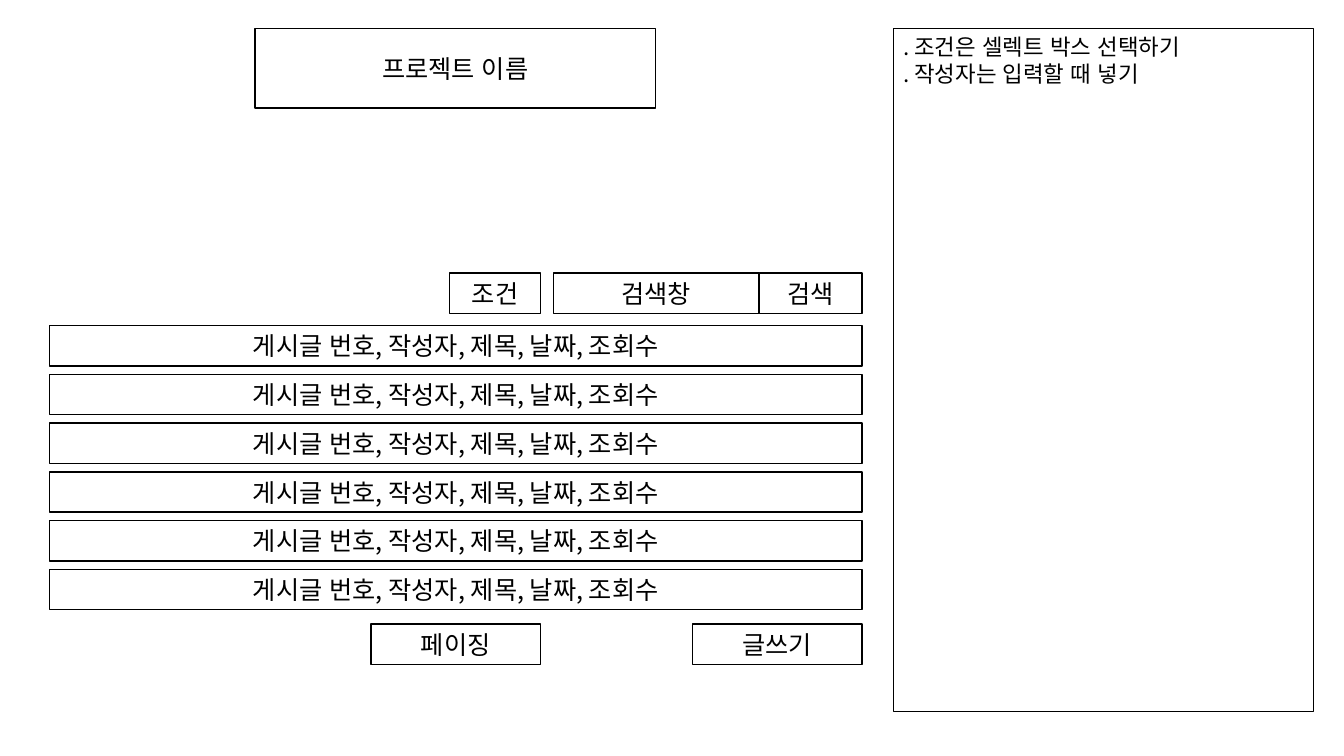
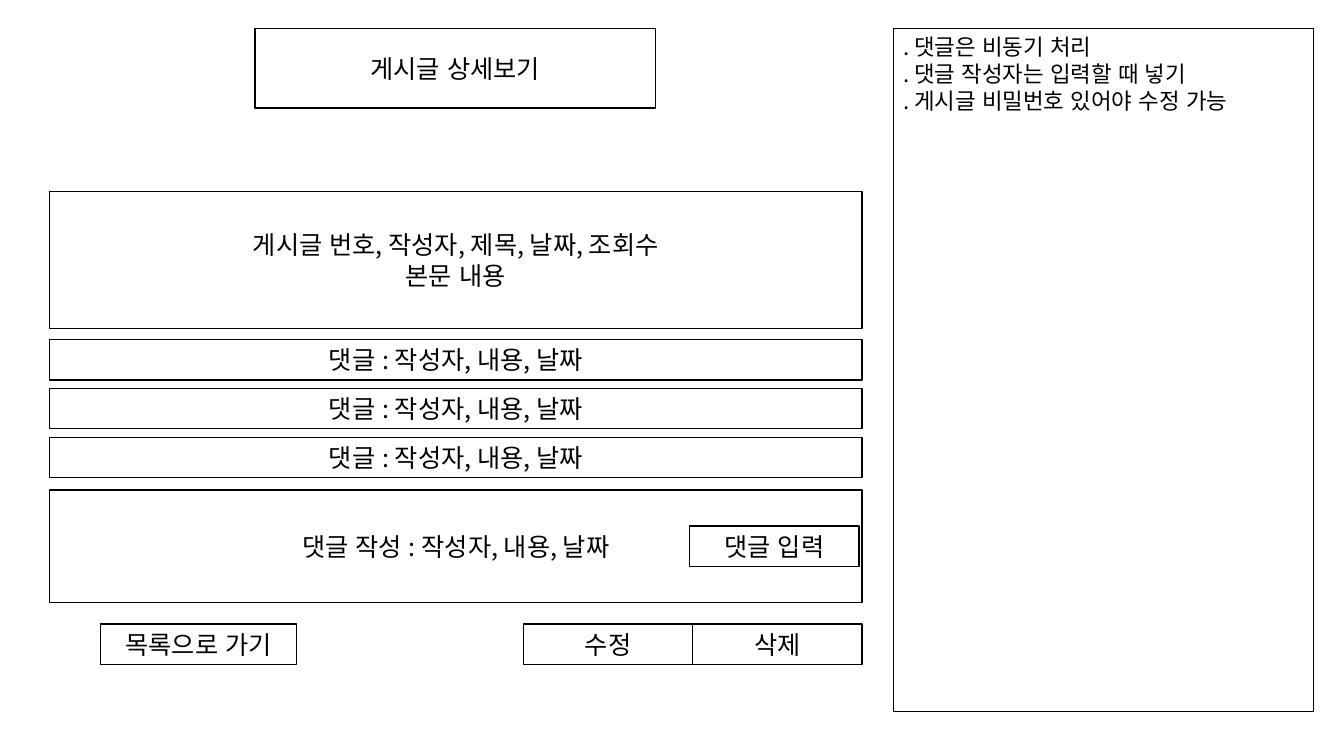
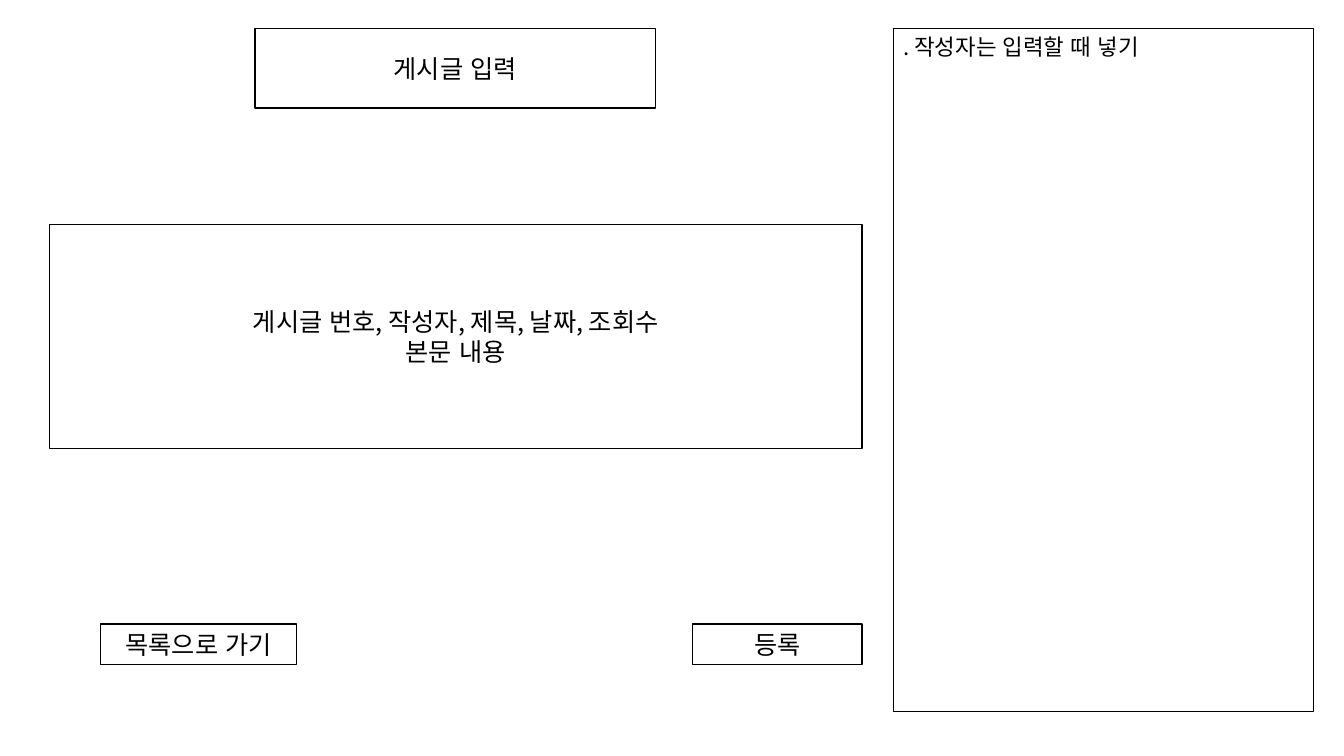
import dataclasses

import lxml.etree
import pptx
import pptx.dml.color
import pptx.enum.lang
import pptx.enum.shapes
import pptx.enum.text
import pptx.oxml.ns
import pptx.shapes.autoshape
import pptx.slide
import pptx.text.text
import pptx.util

FONT = "Noto Sans CJK KR"
INK = "000000"
PAPER = "FFFFFF"
BODY_SIZE = 18
NOTE_SIZE = 16

LEFT = 0.49
WIDTH = 8.06
RIGHT = LEFT + WIDTH
ROW_HEIGHT = 0.4
ROW_PITCH = 2.42 / 5
BUTTON_WIDTH = 1.68
BUTTON_LEFT = RIGHT - BUTTON_WIDTH
BUTTON_TOP = 6.19
SEARCH_TOP = 2.71

POST_FIELDS = "게시글 번호, 작성자, 제목, 날짜, 조회수"
POST_BODY = POST_FIELDS + "\n본문 내용"
COMMENT_FIELDS = "댓글 : 작성자, 내용, 날짜"


@dataclasses.dataclass(frozen=True)
class Panel:
    text: str
    left: float
    top: float
    width: float
    height: float = ROW_HEIGHT


@dataclasses.dataclass(frozen=True)
class Screen:
    title: str
    notes: str
    panels: list[Panel]


def color(value: str) -> pptx.dml.color.RGBColor:
    return pptx.dml.color.RGBColor.from_string(value)


def format_span(span: pptx.text.text._Run, size: float) -> None:
    span.font.size = pptx.util.Pt(size)
    span.font.color.rgb = color(INK)
    span.font.language_id = pptx.enum.lang.MSO_LANGUAGE_ID.KOREAN
    span.font.name = FONT
    properties = span._r.get_or_add_rPr()
    east_asian = lxml.etree.SubElement(properties, pptx.oxml.ns.qn("a:ea"))
    east_asian.set("typeface", FONT)


def draw_panel(
    page: pptx.slide.Slide,
    panel: Panel,
    size: float = BODY_SIZE,
    align: pptx.enum.text.PP_ALIGN = pptx.enum.text.PP_ALIGN.CENTER,
    anchor: pptx.enum.text.MSO_ANCHOR = pptx.enum.text.MSO_ANCHOR.MIDDLE,
) -> pptx.shapes.autoshape.Shape:
    box = page.shapes.add_shape(
        pptx.enum.shapes.MSO_SHAPE.RECTANGLE,
        pptx.util.Inches(panel.left),
        pptx.util.Inches(panel.top),
        pptx.util.Inches(panel.width),
        pptx.util.Inches(panel.height),
    )
    box.shadow.inherit = False
    box.fill.background()
    box.line.color.rgb = color(INK)
    box.line.width = pptx.util.Pt(1)
    frame = box.text_frame
    frame.word_wrap = True
    frame.vertical_anchor = anchor
    frame.text = panel.text
    for para in frame.paragraphs:
        para.alignment = align
        for span in para.runs:
            format_span(span, size)
    return box


def stack_rows(text: str, top: float, count: int) -> list[Panel]:
    return [Panel(text, LEFT, top + index * ROW_PITCH, WIDTH) for index in range(count)]


def action_button(text: str, left: float = BUTTON_LEFT) -> Panel:
    return Panel(text, left, BUTTON_TOP, BUTTON_WIDTH)


def draw_screen(deck: pptx.presentation.Presentation, screen: Screen) -> None:
    page = deck.slides.add_slide(deck.slide_layouts[6])
    page.background.fill.solid()
    page.background.fill.fore_color.rgb = color(PAPER)
    draw_panel(page, Panel(screen.title, 2.53, 0.28, 3.97, 0.79))
    for panel in screen.panels:
        draw_panel(page, panel)
    draw_panel(
        page,
        Panel(screen.notes, 8.86, 0.28, 4.17, 6.78),
        NOTE_SIZE,
        pptx.enum.text.PP_ALIGN.LEFT,
        pptx.enum.text.MSO_ANCHOR.TOP,
    )


BACK_BUTTON = Panel("목록으로 가기", 1, BUTTON_TOP, 1.94)

SCREENS = [
    Screen(
        "프로젝트 이름",
        ". 조건은 셀렉트 박스 선택하기\n. 작성자는 입력할 때 넣기",
        [
            *stack_rows(POST_FIELDS, 3.23, 6),
            Panel("조건", 4.46, SEARCH_TOP, 0.9),
            Panel("검색창", 5.49, SEARCH_TOP, 2.04),
            Panel("검색", 7.53, SEARCH_TOP, 1.02),
            action_button("페이징", 3.68),
            action_button("글쓰기"),
        ],
    ),
    Screen(
        "게시글 상세보기",
        ". 댓글은 비동기 처리\n. 댓글 작성자는 입력할 때 넣기\n"
        ". 게시글 비밀번호 있어야 수정 가능",
        [
            Panel(POST_BODY, LEFT, 1.9, WIDTH, 1.36),
            *stack_rows(COMMENT_FIELDS, 3.37, 3),
            Panel("댓글 작성 : 작성자, 내용, 날짜", LEFT, 4.86, WIDTH, 1.12),
            Panel("댓글 입력", 6.84, 5.22, BUTTON_WIDTH),
            BACK_BUTTON,
            action_button("수정", BUTTON_LEFT - BUTTON_WIDTH),
            action_button("삭제"),
        ],
    ),
    Screen(
        "게시글 입력",
        ". 작성자는 입력할 때 넣기",
        [
            Panel(POST_BODY, LEFT, 2.23, WIDTH, 2.22),
            BACK_BUTTON,
            action_button("등록"),
        ],
    ),
]


def main() -> None:
    deck = pptx.Presentation()
    deck.slide_width = pptx.util.Inches(13.33)
    deck.slide_height = pptx.util.Inches(7.5)
    for screen in SCREENS:
        draw_screen(deck, screen)
    deck.save("out.pptx")


main()
